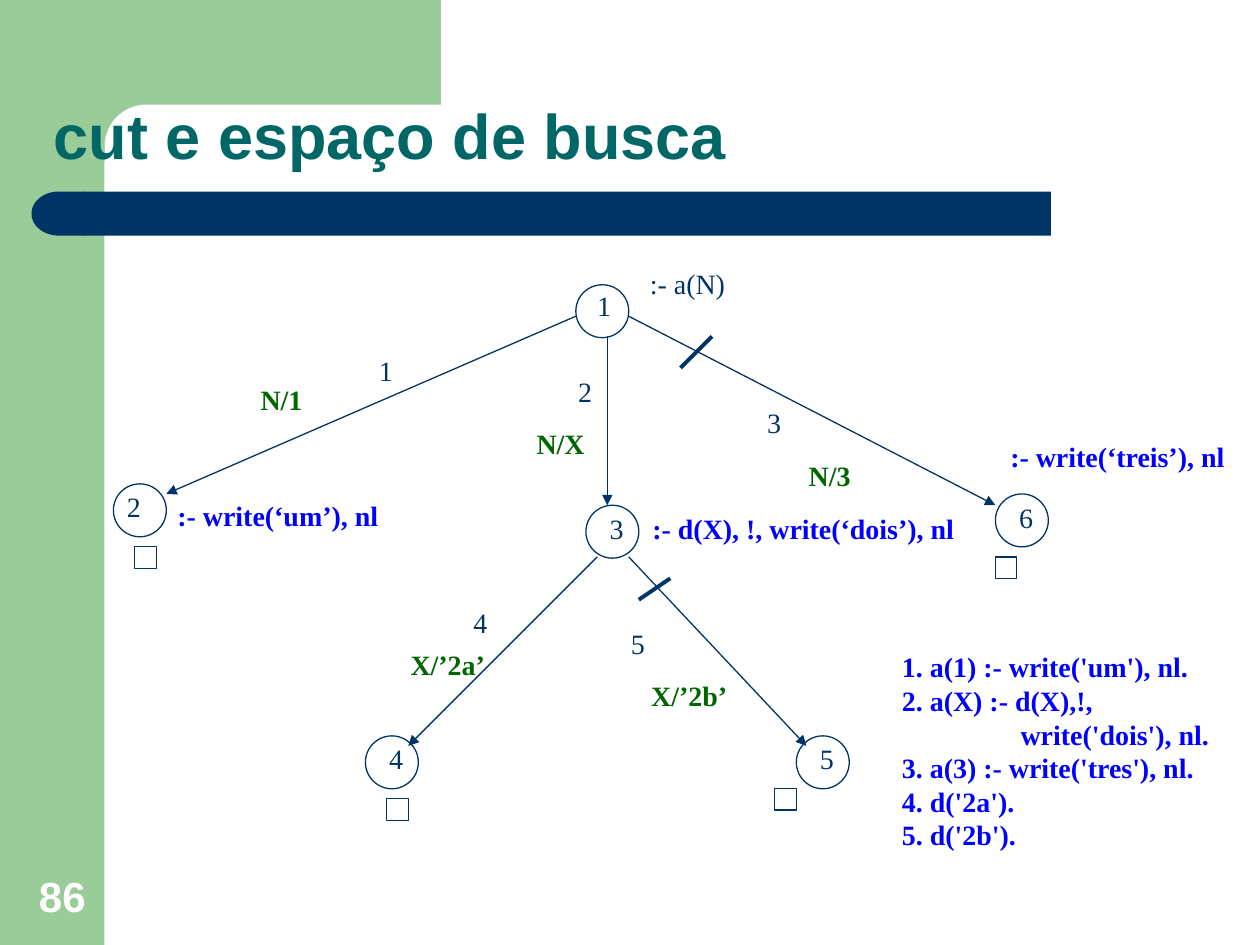
import math
from pptx import Presentation
from pptx import util as u
from pptx.dml.color import RGBColor
from pptx.enum import shapes, text
from pptx.oxml import ns
from lxml import etree

Inches = u.Inches
NAVY = RGBColor(0x00, 0x33, 0x66)
TEAL = RGBColor(0x00, 0x66, 0x66)
GREEN = RGBColor(0x00, 0x66, 0x00)
BLUE = RGBColor(0x00, 0x00, 0xFF)
SAGE = RGBColor(0x99, 0xCC, 0x99)
WHITE = RGBColor(0xFF, 0xFF, 0xFF)
SHAPE = shapes.MSO_SHAPE

deck = Presentation()
deck.slide_width, deck.slide_height = Inches(10), Inches(7.5)
page = deck.slides.add_slide(deck.slide_layouts[6])


def add_text(lines, left, top, width, height=0.37, size=16, font="Times New Roman",
             color=NAVY, bold=False, align=text.PP_ALIGN.LEFT,
             anchor=text.MSO_ANCHOR.TOP, spacing=None):
    box = page.shapes.add_textbox(Inches(left), Inches(top), Inches(width), Inches(height))
    frame = box.text_frame
    frame.word_wrap = True
    frame.vertical_anchor = anchor
    for index, line in enumerate(lines.split("\n")):
        para = frame.add_paragraph() if index else frame.paragraphs[0]
        para.alignment, para.line_spacing = align, spacing
        span = para.add_run()
        span.text = line
        span.font.name, span.font.size = font, u.Pt(size)
        span.font.bold, span.font.color.rgb = bold, color


def style(shape, fill=None):
    """Solid fill without outline, or a thin navy outline without fill."""
    shape.shadow.inherit = False
    if fill is None:
        shape.fill.background()
        shape.line.color.rgb, shape.line.width = NAVY, u.Pt(0.75)
    else:
        shape.fill.solid()
        shape.fill.fore_color.rgb = fill
        shape.line.fill.background()


# Green side band, and top block with a rounded inner corner
band = page.shapes.add_shape(SHAPE.RECTANGLE, 0, 0, Inches(0.83), Inches(7.5))
style(band, SAGE)
radius, center = 0.33, 1.16
arc = [(center - radius * math.sin(angle), center - radius * math.cos(angle))
       for angle in (math.radians(step) for step in range(0, 91, 6))]
outline = [(3.5, 0.83)] + arc + [(0.83, 1.28), (0.5, 1.28), (0.5, 0)]
builder = page.shapes.build_freeform(Inches(3.5), 0, scale=1.0)
builder.add_line_segments([(Inches(x), Inches(y)) for x, y in outline], close=True)
style(builder.convert_to_shape(), SAGE)

# Navy bar with a rounded left end
bar = page.shapes.add_shape(SHAPE.RECTANGLE, Inches(0.67), Inches(1.52), Inches(7.67), Inches(0.35))
style(bar, NAVY)
cap = page.shapes.add_shape(SHAPE.FLOWCHART_DELAY, Inches(0.25), Inches(1.52),
                            Inches(0.43), Inches(0.35))
cap.rotation = 180
style(cap, NAVY)

# Page number and title
heading = dict(font="Arial", bold=True, anchor=text.MSO_ANCHOR.BOTTOM, spacing=0.9)
add_text("86", 0.08, 6.83, 0.83, 0.53, size=24, color=WHITE,
         align=text.PP_ALIGN.CENTER, **heading)
add_text("cut e espaço de busca", 0.33, 0.33, 9.34, 1.09, size=36, color=TEAL, **heading)

# Tree nodes: circle position, then number position
nodes = [
    (4.57, 2.26, 4.64, 2.24),
    (0.9, 3.84, 0.91, 3.84),
    (4.65, 4.01, 4.74, 4.01),
    (2.9, 5.84, 2.99, 5.84),
    (6.32, 5.84, 6.41, 5.84),
    (7.9, 3.92, 7.99, 3.92),
]
for number, (left, top, text_left, text_top) in enumerate(nodes, start=1):
    circle = page.shapes.add_shape(SHAPE.OVAL, Inches(left), Inches(top), Inches(0.42), Inches(0.42))
    style(circle)
    add_text(str(number), text_left, text_top, 0.33)

# Empty-clause squares under the leaves
for left, top in [(1.07, 4.34), (3.07, 6.34), (6.15, 6.26), (7.9, 4.42)]:
    square = page.shapes.add_shape(SHAPE.RECTANGLE, Inches(left), Inches(top),
                                   Inches(0.17), Inches(0.17))
    style(square)

# Branches with arrowheads, then the strokes that mark the cut branches
lines = [
    (4.57, 2.51, 1.32, 3.92, True),
    (4.82, 2.67, 4.82, 4.01, True),
    (4.74, 4.42, 3.24, 5.92, True),
    (4.99, 4.42, 6.4, 5.92, True),
    (4.99, 2.51, 7.9, 4.01, True),
    (5.32, 4.59, 5.07, 4.76, False),
    (5.65, 2.67, 5.4, 2.92, False),
]
for x1, y1, x2, y2, is_branch in lines:
    line = page.shapes.add_connector(shapes.MSO_CONNECTOR.STRAIGHT, Inches(x1), Inches(y1),
                                     Inches(x2), Inches(y2))
    line.line.color.rgb = NAVY
    line.line.width = u.Pt(0.75 if is_branch else 2.25)
    if is_branch:
        properties = line._element.spPr.find(ns.qn("a:ln"))
        etree.SubElement(properties, ns.qn("a:tailEnd"), type="triangle")
    etree.SubElement(line._element.spPr, ns.qn("a:effectLst"))

# Clause numbers on the branches
for number, left, top in [(1, 2.91, 2.76), (2, 4.49, 2.92), (3, 5.99, 3.17),
                          (4, 3.66, 4.76), (5, 4.91, 4.92)]:
    add_text(str(number), left, top, 0.33)

# Substitutions
for label, left, top, width in [
    ("N/1", 1.97, 2.99, 0.57),
    ("N/X", 4.16, 3.34, 0.62),
    ("N/3", 6.32, 3.59, 0.57),
    ("X/’2a’", 3.16, 5.09, 0.85),
    ("X/’2b’", 5.07, 5.34, 0.85),
]:
    add_text(label, left, top, width, color=GREEN, bold=True)

# Goals beside the nodes, each with room for a single line
add_text(":- a(N)", 5.06, 2.07, 0.9)
for goal, left, top, width in [
    (":- write(‘um’), nl", 1.31, 3.91, 1.9),
    (":- d(X), !, write(‘dois’), nl", 5.08, 4.01, 2.7),
    (":- write(‘treis’), nl", 7.92, 3.44, 2),
]:
    add_text(goal, left, top, width, color=BLUE, bold=True)

# Program listing
program = """1. a(1) :- write('um'), nl.
2. a(X) :- d(X),!,
                 write('dois'), nl.
3. a(3) :- write('tres'), nl.
4. d('2a').
5. d('2b')."""
add_text(program, 7.06, 5.11, 2.75, 1.7, color=BLUE, bold=True)

deck.save("out.pptx")
